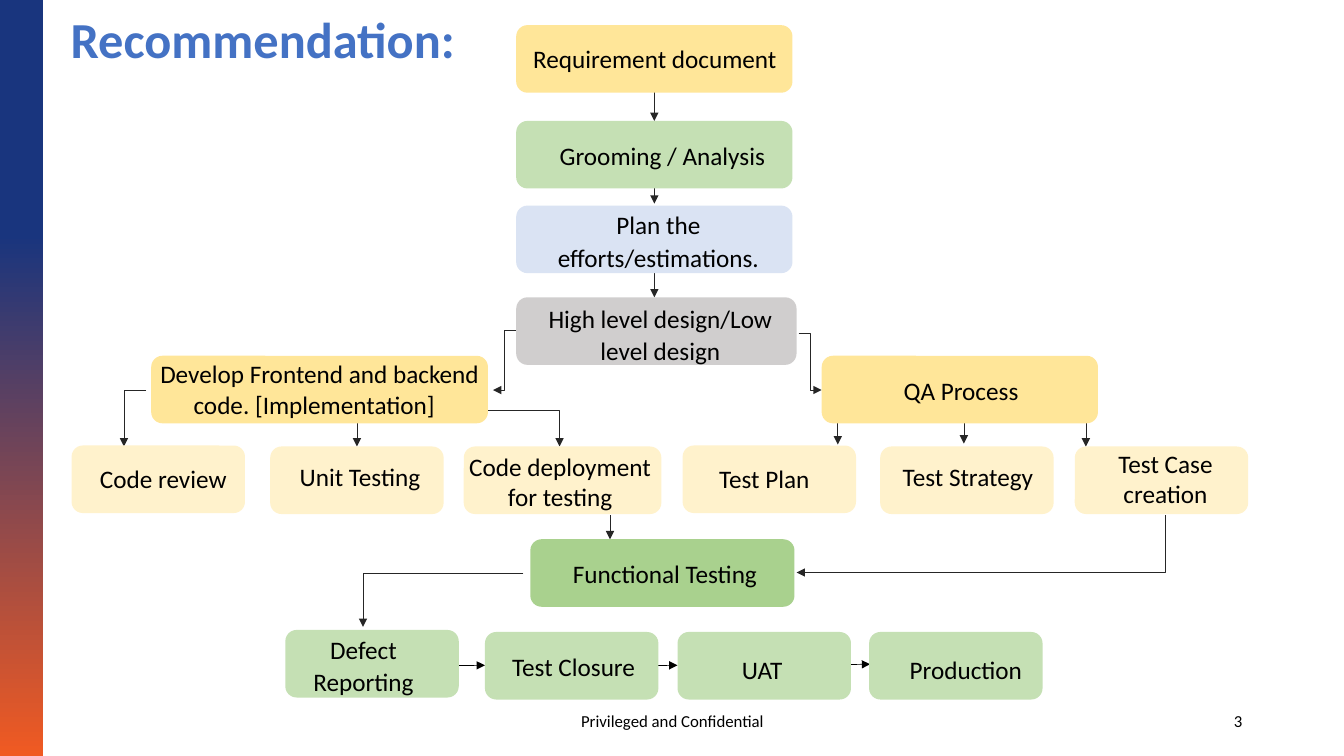
"""Build the recommended delivery workflow slide."""
from lxml import etree
from pptx import Presentation
from pptx.dml.color import RGBColor
from pptx.enum.shapes import MSO_CONNECTOR, MSO_SHAPE
from pptx.enum.text import MSO_ANCHOR, MSO_AUTO_SIZE, PP_ALIGN
from pptx.oxml.ns import qn
from pptx.util import Inches, Pt

LEFT, CENTER, RIGHT = PP_ALIGN.LEFT, PP_ALIGN.CENTER, PP_ALIGN.RIGHT
MIDDLE, TOP = MSO_ANCHOR.MIDDLE, MSO_ANCHOR.TOP
GROW, NO_GROW = MSO_AUTO_SIZE.SHAPE_TO_FIT_TEXT, MSO_AUTO_SIZE.NONE
RECT, ROUNDED = MSO_SHAPE.RECTANGLE, MSO_SHAPE.ROUNDED_RECTANGLE
STRAIGHT, ELBOW = MSO_CONNECTOR.STRAIGHT, MSO_CONNECTOR.ELBOW

FONT = "Calibri"
BLACK = RGBColor(0x00, 0x00, 0x00)
CHARCOAL = RGBColor(0x26, 0x26, 0x26)
TITLE_BLUE = RGBColor(0x44, 0x72, 0xC4)
NAVY = RGBColor(0x19, 0x35, 0x7E)
ORANGE = RGBColor(0xF0, 0x5A, 0x22)
GOLD = RGBColor(0xFF, 0xE6, 0x99)
CREAM = RGBColor(0xFF, 0xF2, 0xCC)
GREEN = RGBColor(0xC5, 0xE0, 0xB4)
DEEP_GREEN = RGBColor(0xA9, 0xD1, 0x8E)
PALE_BLUE = RGBColor(0xDA, 0xE3, 0xF3)
GREY = RGBColor(0xD0, 0xCE, 0xCE)

TITLE = "Recommendation:"
FOOTERS = [
    ("Privileged and Confidential", (4.42, 6.95, 4.5, 0.4), CENTER),
    ("3", (9.42, 6.95, 3, 0.4), RIGHT),
]
BOX_HEIGHT = 0.67
PLAIN, SPACED = (1.0, 0), (1.07, 8)

# text, fill, box (left, top, width), label (left, top, width, height), spacing
STEPS = [
    ("Requirement document", GOLD, (5.12, 0.25, 2.74), (5.19, 0.38, 2.74, 0.71), PLAIN),
    ("Grooming / Analysis", GREEN, (5.12, 1.2, 2.74), (5.2, 1.32, 2.74, 0.41), SPACED),
    ("Plan the efforts/estimations.", PALE_BLUE, (5.12, 2.04, 2.74), (5.16, 2.01, 2.74, 0.73), SPACED),
    ("High level design/Low level design", GREY, (5.12, 2.95, 2.78), (5.18, 2.94, 2.74, 0.73), SPACED),
    ("Develop Frontend and backend code. [Implementation] \t", GOLD, (1.5, 3.53, 3.34), (1.45, 3.51, 3.44, 0.71), PLAIN),
    ("QA Process ", GOLD, (8.15, 3.53, 2.74), (8.19, 3.65, 2.74, 0.41), SPACED),
    ("Code review", CREAM, (0.71, 4.42, 1.72), (0.76, 4.55, 1.72, 0.4), PLAIN),
    ("Unit Testing", CREAM, (2.68, 4.43, 1.72), (2.71, 4.53, 1.72, 0.4), PLAIN),
    ("Code deployment for testing", CREAM, (4.6, 4.43, 1.96), (4.48, 4.43, 2.15, 0.71), PLAIN),
    ("Test Plan", CREAM, (6.77, 4.42, 1.72), (6.72, 4.55, 1.72, 0.4), PLAIN),
    ("Test Strategy", CREAM, (8.73, 4.43, 1.72), (8.74, 4.53, 1.72, 0.4), PLAIN),
    ("Test Case creation", CREAM, (10.66, 4.43, 1.72), (10.89, 4.4, 1.34, 0.71), PLAIN),
    ("Functional Testing", DEEP_GREEN, (5.26, 5.35, 2.62), (5.04, 5.47, 3.11, 0.41), SPACED),
    ("Defect Reporting", GREEN, (2.83, 6.25, 1.72), (2.83, 6.22, 1.55, 0.73), SPACED),
    ("Test Closure", GREEN, (4.81, 6.27, 1.72), (4.81, 6.39, 1.76, 0.41), SPACED),
    ("UAT", GREEN, (6.72, 6.27, 1.72), (6.68, 6.42, 1.76, 0.41), SPACED),
    ("Production", GREEN, (8.62, 6.27, 1.72), (8.7, 6.42, 1.76, 0.41), SPACED),
]
DOWN_ARROWS = [
    (6.49, 0.25, 1.2), (6.49, 1.72, 2.02), (6.49, 2.65, 2.95),
    (8.31, 4.03, 4.41), (9.56, 4.02, 4.4), (10.77, 4.05, 4.43),
    (3.54, 4.19, 4.43), (6.05, 5.11, 5.35),
]
RELEASE_ARROWS = [
    (3.93, 6.61, 4.81, 6.6), (5.85, 6.61, 6.72, 6.6), (7.76, 6.6, 8.63, 6.59),
]
STEP_ARROWS = [(7.92, 3.31, 8.15, 3.87), (5.12, 3.28, 4.89, 3.87)]
CORNER_ARROWS = [
    (4.71, 4.07, 5.55, 4.43), (1.45, 3.87, 1.23, 4.43), (5.19, 5.69, 3.6, 6.22),
]
TEST_CASE_ARROW = (11.56, 5.11, 7.9, 5.68)


def style_text(shape, text, size, color, align, anchor, bold=False):
    tf = shape.text_frame
    tf.word_wrap = True
    tf.vertical_anchor = anchor
    tf.text = text
    p = tf.paragraphs[0]
    p.alignment = align
    font = p.runs[0].font
    font.name, font.size, font.bold = FONT, Pt(size), bold
    font.color.rgb = color
    return tf, p


def add_block(s, kind, bounds):
    sp = s.shapes.add_shape(kind, *map(Inches, bounds))
    sp.shadow.inherit = False
    sp.line.fill.background()
    return sp


def add_arrow(s, kind, ends, color):
    line = s.shapes.add_connector(kind, *map(Inches, ends))
    line.line.color.rgb = color
    line.line.width = Pt(0.5)
    etree.SubElement(line.line._get_or_add_ln(), qn("a:tailEnd"), type="triangle")
    etree.SubElement(line._element.spPr, qn("a:effectLst"))
    return line


def add_corner_arrow(s, ends, down_first=False):
    if down_first:
        x1, y1, x2, y2 = ends
        cx, cy = (x1 + x2) / 2, (y1 + y2) / 2
        half_w, half_h = (y2 - y1) / 2, (x1 - x2) / 2
        ends = (cx - half_w, cy - half_h, cx + half_w, cy + half_h)
    line = add_arrow(s, ELBOW, ends, CHARCOAL)
    sp_pr = line._element.spPr
    sp_pr.find(qn("a:prstGeom")).set("prst", "bentConnector2")
    if down_first:
        sp_pr.find(qn("a:xfrm")).set("rot", "5400000")


def add_step(s, text, fill, box, label, spacing):
    sp = add_block(s, ROUNDED, (*box, BOX_HEIGHT))
    sp.fill.solid()
    sp.fill.fore_color.rgb = fill
    align = LEFT if text == STEPS[0][0] else CENTER
    tb = s.shapes.add_textbox(*map(Inches, label))
    tf, p = style_text(tb, text, 18, BLACK, align, TOP)
    tf.auto_size = GROW
    p.line_spacing = spacing[0]
    p.space_after = Pt(spacing[1])


def main():
    prs = Presentation()
    prs.slide_width, prs.slide_height = Inches(13.33), Inches(7.5)
    s = prs.slides.add_slide(prs.slide_layouts[5])

    bar = add_block(s, RECT, (0, 0, 0.43, 7.5))
    bar.fill.gradient()
    bar.fill.gradient_angle = 270
    for stop, color, position in zip(bar.fill.gradient_stops, (NAVY, ORANGE), (0.31, 1)):
        stop.color.rgb = color
        stop.position = position

    title = s.shapes.title
    title.left, title.top, title.width, title.height = map(Inches, (0, 0, 13.33, 0.83))
    tf, p = style_text(title, TITLE, 36, TITLE_BLUE, LEFT, MIDDLE, True)
    tf.auto_size = NO_GROW
    tf.margin_left = Inches(0.7)
    p.line_spacing = 0.9

    for text, bounds, align in FOOTERS:
        tb = s.shapes.add_textbox(*map(Inches, bounds))
        style_text(tb, text, 12, BLACK, align, MIDDLE)

    for ends in RELEASE_ARROWS:
        add_arrow(s, STRAIGHT, ends, BLACK)
    for x, top, bottom in DOWN_ARROWS:
        add_arrow(s, STRAIGHT, (x, top, x, bottom), CHARCOAL)
    for ends in STEP_ARROWS:
        add_arrow(s, ELBOW, ends, CHARCOAL)
    for ends in CORNER_ARROWS:
        add_corner_arrow(s, ends)
    add_corner_arrow(s, TEST_CASE_ARROW, down_first=True)

    for step in STEPS:
        add_step(s, *step)
    prs.save("out.pptx")


if __name__ == "__main__":
    main()
